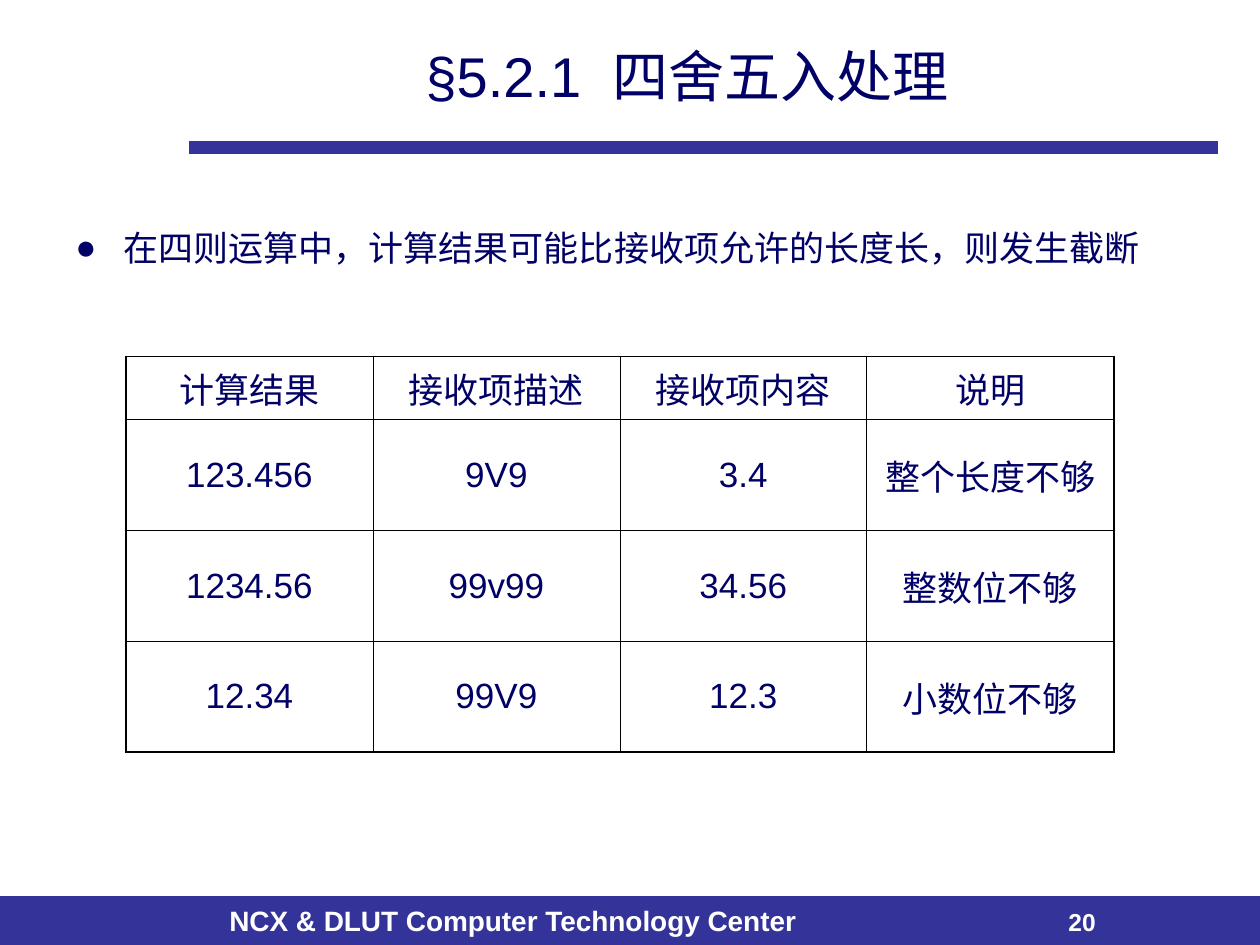
"""Build the slide on rounding and truncation of computed results."""
import lxml.etree
import pptx
import pptx.dml.color
import pptx.enum.shapes
import pptx.enum.text
import pptx.oxml.ns
import pptx.util

Inches = pptx.util.Inches
Pt = pptx.util.Pt
RGBColor = pptx.dml.color.RGBColor
Align = pptx.enum.text.PP_ALIGN
Anchor = pptx.enum.text.MSO_ANCHOR
qn = pptx.oxml.ns.qn

NAVY = RGBColor(0x00, 0x00, 0x66)
INDIGO = RGBColor(0x33, 0x33, 0x99)
WHITE = RGBColor(0xFF, 0xFF, 0xFF)
BLACK = RGBColor(0x00, 0x00, 0x00)

ROWS = [
    ("计算结果", "接收项描述", "接收项内容", "说明"),
    ("123.456", "9V9", "3.4", "整个长度不够"),
    ("1234.56", "99v99", "34.56", "整数位不够"),
    ("12.34", "99V9", "12.3", "小数位不够"),
]


class SlideBuilder:
    font = "Arial"
    body_size = 20
    outer_border = 1.08
    inner_border = 0.45

    def __init__(self, slide):
        self.s = slide

    def run(self, p, text, size=body_size, color=NAVY, bold=False):
        r = p.add_run()
        r.text = text
        r.font.name = self.font
        r.font.size = Pt(size)
        r.font.bold = bold
        r.font.color.rgb = color

    def text_box(self, left, top, width, height, text, size=body_size,
                 align=Align.LEFT, anchor=Anchor.TOP):
        sp = self.s.shapes.add_textbox(
            Inches(left), Inches(top), Inches(width), Inches(height))
        tf = sp.text_frame
        tf.word_wrap = True
        tf.vertical_anchor = anchor
        p = tf.paragraphs[0]
        p.alignment = align
        self.run(p, text, size)
        return p

    def bullet(self, left, top, width, height, text):
        p = self.text_box(left, top, width, height, text)
        pPr = p._p.get_or_add_pPr()
        pPr.set("marL", str(Inches(0.38)))
        pPr.set("indent", str(-Inches(0.38)))
        clr = lxml.etree.SubElement(pPr, qn("a:buClr"))
        lxml.etree.SubElement(clr, qn("a:srgbClr"), val=str(NAVY))
        lxml.etree.SubElement(pPr, qn("a:buFont"), typeface=self.font)
        lxml.etree.SubElement(pPr, qn("a:buChar"), char="●")

    def rule(self, left, right, y, width):
        cxn = self.s.shapes.add_connector(
            pptx.enum.shapes.MSO_CONNECTOR.STRAIGHT,
            Inches(left), Inches(y), Inches(right), Inches(y))
        cxn.line.color.rgb = INDIGO
        cxn.line.width = Pt(width)
        lxml.etree.SubElement(cxn._element.spPr, qn("a:effectLst"))

    def footer(self, top, height, text, number):
        sp = self.s.shapes.add_shape(
            pptx.enum.shapes.MSO_SHAPE.RECTANGLE,
            Inches(0), Inches(top), Inches(10), Inches(height))
        sp.shadow.inherit = False
        sp.fill.solid()
        sp.fill.fore_color.rgb = INDIGO
        sp.line.color.rgb = INDIGO
        sp.line.width = Pt(0.75)
        tf = sp.text_frame
        tf.word_wrap = True
        tf.vertical_anchor = Anchor.TOP
        tf.margin_left = Inches(1.82)
        p = tf.paragraphs[0]
        p.alignment = Align.LEFT
        tabs = lxml.etree.SubElement(p._p.get_or_add_pPr(), qn("a:tabLst"))
        lxml.etree.SubElement(
            tabs, qn("a:tab"), pos=str(Inches(6.66)), algn="l")
        self.run(p, text, 16, WHITE, True)
        self.run(p, "\t" + number, 14, WHITE, True)

    def borders(self, cell, outer_sides):
        tcPr = cell._tc.get_or_add_tcPr()
        for i, side in enumerate("LRTB"):
            width = self.outer_border if side in outer_sides else self.inner_border
            ln = lxml.etree.Element(qn(f"a:ln{side}"), w=str(Pt(width)))
            fill = lxml.etree.SubElement(ln, qn("a:solidFill"))
            lxml.etree.SubElement(fill, qn("a:srgbClr"), val=str(BLACK))
            tcPr.insert(i, ln)

    def table(self, left, top, col_width, row_heights, rows):
        n_rows, n_cols = len(rows), len(rows[0])
        table = self.s.shapes.add_table(
            n_rows, n_cols, Inches(left), Inches(top),
            Inches(col_width * n_cols), Inches(sum(row_heights))).table
        table.first_row = False
        table.horz_banding = False
        for col in table.columns:
            col.width = Inches(col_width)
        for i, values in enumerate(rows):
            table.rows[i].height = Inches(row_heights[i])
            for j, value in enumerate(values):
                cell = table.cell(i, j)
                cell.fill.background()
                cell.vertical_anchor = Anchor.MIDDLE
                p = cell.text_frame.paragraphs[0]
                p.alignment = Align.CENTER
                self.run(p, value)
                edges = {"L": j == 0, "R": j == n_cols - 1,
                         "T": i == 0, "B": i == n_rows - 1}
                self.borders(cell, [side for side, on in edges.items() if on])


def main():
    prs = pptx.Presentation()
    prs.slide_width = Inches(10)
    prs.slide_height = Inches(7.5)
    b = SlideBuilder(prs.slides.add_slide(prs.slide_layouts[6]))
    b.footer(7.12, 0.6, "NCX & DLUT Computer Technology Center", "20")
    b.rule(1.5, 9.67, 1.17, 7)
    b.text_box(1.83, 0.25, 7.25, 0.69, "§5.2.1  四舍五入处理", 32,
               Align.CENTER, Anchor.MIDDLE)
    b.bullet(0.5, 1.75, 8.75, 0.75,
             "在四则运算中，计算结果可能比接收项允许的长度长，则发生截断")
    b.table(1, 2.83, 1.96, [0.5, 0.88, 0.88, 0.88], ROWS)
    prs.save("out.pptx")


if __name__ == "__main__":
    main()
